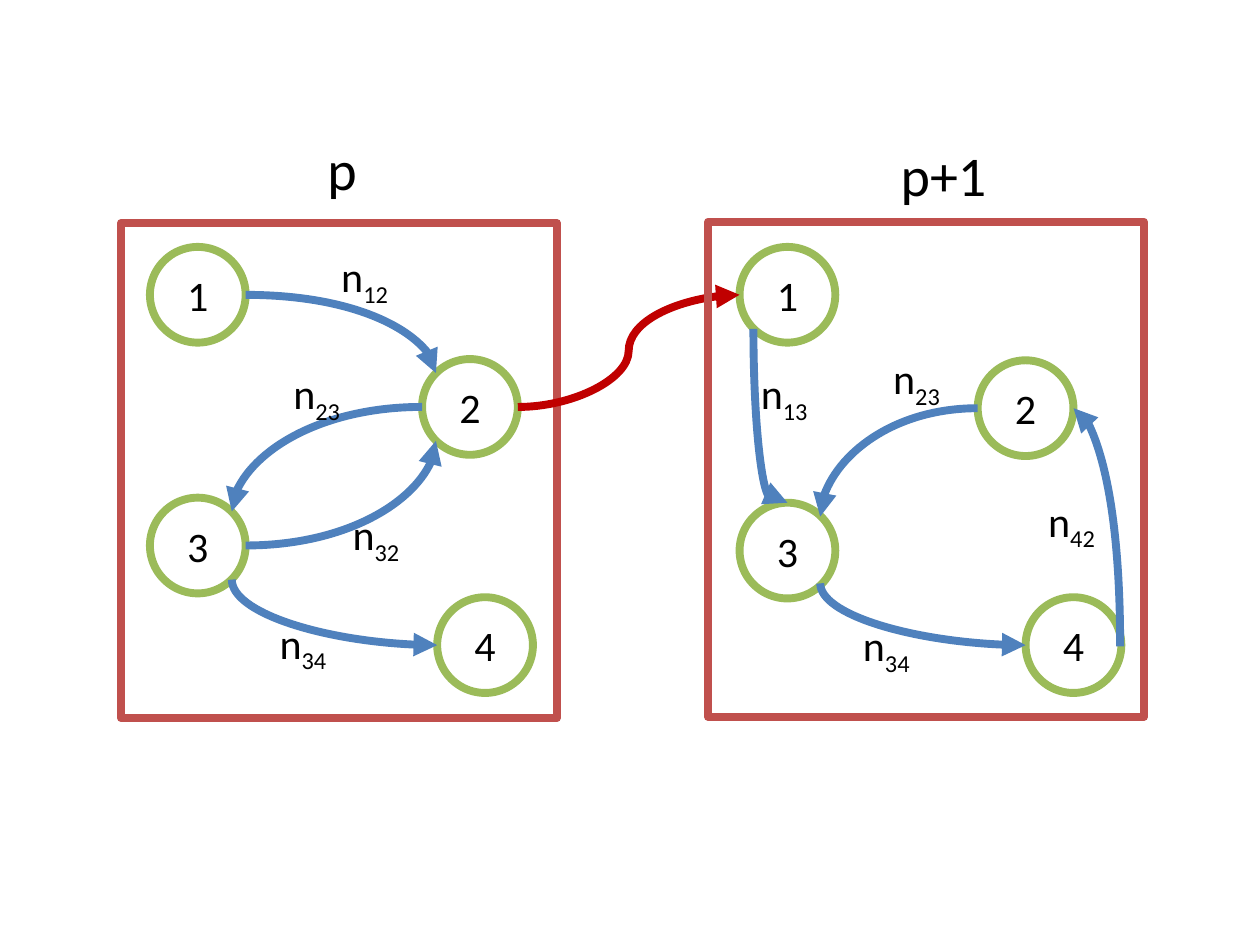
import dataclasses

import pptx
import pptx.dml.color
import pptx.enum.shapes
import pptx.enum.text
import pptx.oxml
import pptx.oxml.ns
import pptx.util

Inches = pptx.util.Inches
Shapes = pptx.enum.shapes.MSO_SHAPE


@dataclasses.dataclass(frozen=True)
class Theme:
    font: str = "Calibri"
    text: str = "000000"
    paper: str = "FFFFFF"
    node: str = "9BBB59"
    frame: str = "C0504D"
    flow: str = "4F81BD"
    transfer: str = "C00000"
    body_size: int = 24
    title_size: int = 32
    stroke: float = 4.5


THEME = Theme()
NODE_SIZE = 0.76
LABEL_SIZE = (0.61, 0.5)
FRAME_SIZE = (3.46, 3.93)

PERIODS = [
    {
        "nodes": {"1": (1.19, 1.96), "2": (3.35, 2.85), "3": (1.19, 3.95), "4": (3.47, 4.74)},
        "flows": [
            {"start": (1.95, 2.34), "end": (3.46, 2.96)},
            {"start": (1.84, 4.6), "end": (3.47, 5.12), "vertical": True},
            {"start": (3.35, 3.23), "end": (1.84, 4.06)},
            {"start": (1.95, 4.33), "end": (3.46, 3.5)},
        ],
        "labels": {"23": (2.23, 2.87), "12": (2.61, 1.94), "32": (2.7, 3.99), "34": (2.12, 4.85)},
    },
    {
        "nodes": {"1": (5.87, 1.96), "2": (7.76, 2.86), "3": (5.87, 3.99), "4": (8.14, 4.74)},
        "flows": [
            {"start": (5.98, 2.61), "end": (6.25, 3.99), "vertical": True, "bend": 0.97},
            {"start": (6.51, 4.63), "end": (8.14, 5.12), "vertical": True},
            {"start": (7.76, 3.24), "end": (6.51, 4.1)},
            {"start": (8.89, 5.13), "end": (8.52, 3.24), "vertical": True},
        ],
        "labels": {"23": (6.99, 2.75), "13": (5.94, 2.87), "42": (8.22, 3.88), "34": (6.75, 4.87)},
    },
]


def color(value):
    return pptx.dml.color.RGBColor.from_string(value)


def apply_format(target, values):
    for name, value in values.items():
        setattr(target, name, value)


def paint_line(line, value):
    line.color.rgb = color(value)
    line.width = pptx.util.Pt(THEME.stroke)


def paint_fill(shape, value):
    shape.fill.solid()
    shape.fill.fore_color.rgb = color(value)


def add_span(para, text, size, subscript=False):
    span = para.add_run()
    span.text = text
    apply_format(span.font, {"name": THEME.font, "size": pptx.util.Pt(size)})
    span.font.color.rgb = color(THEME.text)
    if subscript:
        span.font._element.set("baseline", "-25000")


def add_outline(slide, kind, position, size, line_color):
    shape = slide.shapes.add_shape(kind, *map(Inches, position + size))
    shape.shadow.inherit = False
    paint_line(shape.line, line_color)
    return shape


def add_node(slide, name, position):
    node = add_outline(slide, Shapes.OVAL, position, (NODE_SIZE, NODE_SIZE), THEME.node)
    paint_fill(node, THEME.paper)
    apply_format(node.text_frame, {
        "word_wrap": False,
        "vertical_anchor": pptx.enum.text.MSO_ANCHOR.MIDDLE,
    })
    para = node.text_frame.paragraphs[0]
    para.alignment = pptx.enum.text.PP_ALIGN.CENTER
    add_span(para, name, THEME.body_size)


def add_text(slide, position, size, wrap=False):
    box = slide.shapes.add_textbox(*map(Inches, position + size))
    apply_format(box.text_frame, {
        "word_wrap": wrap,
        "auto_size": pptx.enum.text.MSO_AUTO_SIZE.SHAPE_TO_FIT_TEXT,
    })
    return box


def add_label(slide, index, position):
    para = add_text(slide, position, LABEL_SIZE).text_frame.paragraphs[0]
    add_span(para, "n", THEME.body_size)
    add_span(para, index, THEME.body_size, subscript=True)


def add_heading(slide, text, position, size, wrap=False):
    box = add_text(slide, position, size, wrap)
    paint_fill(box, THEME.paper)
    add_span(box.text_frame.paragraphs[0], text, THEME.title_size)


def add_frame(slide, position):
    frame = add_outline(slide, Shapes.RECTANGLE, position, FRAME_SIZE, THEME.frame)
    frame.fill.background()


def quarter_turn(point, center):
    return center[0] - (point[1] - center[1]), center[1] + (point[0] - center[0])


def add_curve(slide, start, end, vertical=False, bend=None, line_color=THEME.flow):
    if vertical:
        center = ((start[0] + end[0]) / 2, (start[1] + end[1]) / 2)
        start, end = quarter_turn(start, center), quarter_turn(end, center)
    curve = slide.shapes.add_connector(
        pptx.enum.shapes.MSO_CONNECTOR.CURVE, *map(Inches, start + end)
    )
    paint_line(curve.line, line_color)
    properties = curve.element.spPr
    qn = pptx.oxml.ns.qn
    if vertical:
        properties.find(qn("a:xfrm")).set("rot", "16200000")
    geometry = properties.find(qn("a:prstGeom"))
    if bend is None:
        geometry.set("prst", "curvedConnector2")
    else:
        guide = geometry.find(qn("a:avLst")).makeelement(qn("a:gd"), {
            "name": "adj1", "fmla": f"val {round(bend * 100000)}",
        })
        geometry.find(qn("a:avLst")).append(guide)
    namespace = pptx.oxml.ns.nsdecls("a")
    outline = properties.find(qn("a:ln"))
    outline.append(pptx.oxml.parse_xml(f'<a:tailEnd {namespace} type="triangle"/>'))
    properties.append(pptx.oxml.parse_xml(f"<a:effectLst {namespace}/>"))


def add_period(slide, nodes, flows, labels):
    for name, position in nodes.items():
        add_node(slide, name, position)
    for flow in flows:
        add_curve(slide, **flow)
    for index, position in labels.items():
        add_label(slide, index, position)


def main():
    deck = pptx.Presentation()
    apply_format(deck, {"slide_width": Inches(10), "slide_height": Inches(7.5)})
    slide = deck.slides.add_slide(deck.slide_layouts[6])
    for period in PERIODS:
        add_period(slide, **period)
    add_heading(slide, "p+1", (7.05, 1.07), (0.89, 0.64))
    add_heading(slide, "p", (2.5, 1.02), (0.52, 0.64), wrap=True)
    add_frame(slide, (0.96, 1.77))
    add_curve(slide, (4.11, 3.23), (5.87, 2.34), bend=0.5, line_color=THEME.transfer)
    add_frame(slide, (5.62, 1.76))
    deck.save("out.pptx")


main()
